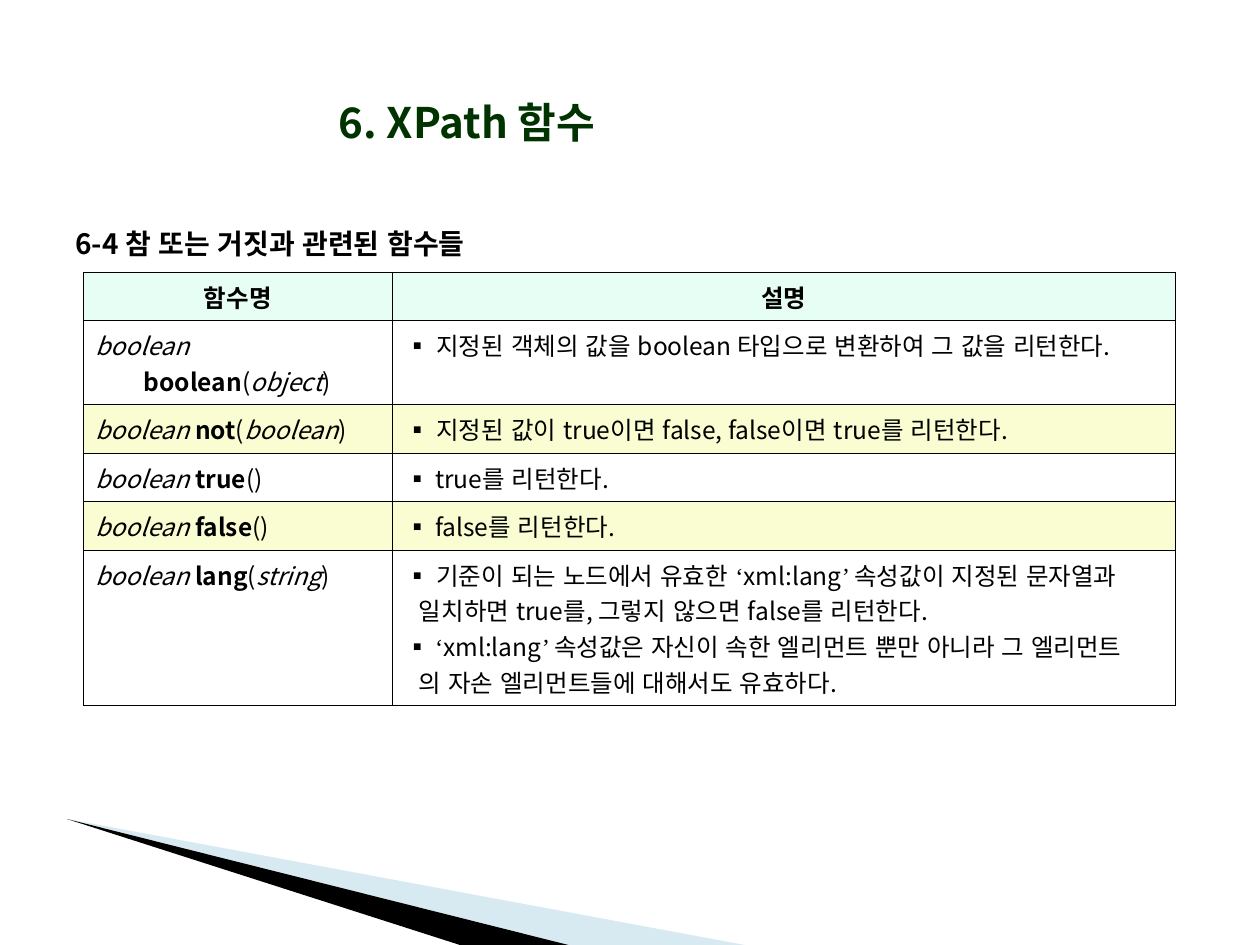
from lxml.etree import SubElement as Sub
from pptx import Presentation
from pptx.dml.color import RGBColor as Rgb
from pptx.enum.lang import MSO_LANGUAGE_ID as Lang
from pptx.enum.text import MSO_ANCHOR as Anchor, MSO_AUTO_SIZE as Auto, PP_ALIGN as Align
from pptx.oxml.ns import qn
from pptx.util import Inches, Pt

SANS, SERIF = "Noto Sans CJK KR", "Times New Roman"
UNIT = Inches(0.1)  # grid of 100 columns by 75 rows
HANG = 3.8          # hanging indent, in columns
LEAD = 1.1          # indent of a continued line, in columns
ROW, STEP = 3.85, 2.83  # height of a one-line row, and of each further line

HEADS = ["함수명", "설명"]
# Function name, its argument, rows of text, and the lines that describe it
# A line is (is it continued, text); quotes are set in the serif font
FUNCS = [
    ("boolean", "object", 2,
     [(False, "▪ 지정된 객체의 값을 boolean 타입으로 변환하여 그 값을 리턴한다.")]),
    ("not", "boolean", 1,
     [(False, "▪ 지정된 값이 true이면 false, false이면 true를 리턴한다.")]),
    ("true", "", 1, [(False, "▪ true를 리턴한다.")]),
    ("false", "", 1, [(False, "▪ false를 리턴한다.")]),
    ("lang", "string", 4,
     [(False, "▪ 기준이 되는 노드에서 유효한 |‘|xml:lang|’ |속성값이 지정된 문자열과"),
      (True, "일치하면 true를, 그렇지 않으면 false를 리턴한다."),
      (False, "▪ |‘|xml:lang|’ |속성값은 자신이 속한 엘리먼트 뿐만 아니라 그 엘리먼트"),
      (True, "의 자손 엘리먼트들에 대해서도 유효하다.")]),
]


def grid(*vals):
    return [round(v * UNIT) for v in vals]


def paint(fill, tone):
    fill.solid()
    fill.fore_color.rgb = Rgb.from_string(tone)


def add_run(par, text, size, tone="000000", bold=False, slant=False, face=SANS):
    run = par.add_run()
    run.text = text
    font = run.font
    font.size, font.bold, font.italic, font.name = Pt(size), bold, slant, face
    font.color.rgb = Rgb.from_string(tone)
    font.language_id = Lang.KOREAN
    font._element.set("kern", "0")
    Sub(font._element, qn("a:ea")).set("typeface", face)


def indent(par, left, first):
    props = par._p.get_or_add_pPr()
    for key, val in zip(("marL", "indent"), grid(left, first)):
        props.set(key, str(val))


def add_title(slide, box):
    title = slide.shapes.title
    title.left, title.top, title.width, title.height = grid(*box)
    frame = title.text_frame
    frame.auto_size, frame.vertical_anchor = Auto.NONE, Anchor.MIDDLE
    par = frame.paragraphs[0]
    par.alignment = Align.CENTER
    add_run(par, "6. XPath 함수", 24, "003300", bold=True)


def add_head(slide, box):
    frame = slide.shapes.add_textbox(*grid(*box)).text_frame
    frame.word_wrap = True
    par = frame.paragraphs[0]
    par.alignment = Align.JUSTIFY
    indent(par, HANG, -HANG)
    add_run(par, "6-4 참 또는 거짓과 관련된 함수들", 16, bold=True)


def edge(cell, tone="000000", width=0.45):
    props = cell._tc.get_or_add_tcPr()
    for at, side in enumerate(("lnL", "lnR", "lnT", "lnB")):
        line = Sub(props, qn(f"a:{side}"), w=str(Pt(width)))
        Sub(Sub(line, qn("a:solidFill")), qn("a:srgbClr")).set("val", tone)
        props.remove(line)
        props.insert(at, line)


def fill_name(cell, name, arg):
    par = cell.text_frame.paragraphs[0]
    indent(par, HANG, -HANG)
    add_run(par, "boolean ", 14, slant=True)
    add_run(par, name, 14, bold=True)
    if arg:
        add_run(par, "(", 14)
        add_run(par, arg, 14, slant=True)
        add_run(par, ")", 14)
    else:
        add_run(par, "()", 14)


def fill_note(cell, lines):
    frame = cell.text_frame
    for at, (cont, line) in enumerate(lines):
        par = frame.add_paragraph() if at else frame.paragraphs[0]
        indent(par, *((LEAD, 0) if cont else (HANG, -HANG)))
        for part in line.split("|"):
            quote = part.strip() in ("‘", "’")
            add_run(par, part, 14, face=SERIF if quote else SANS)


def add_funcs(slide, box):
    left, top, wide = box
    sizes = [ROW] + [ROW + STEP * (rows - 1) for _, _, rows, _ in FUNCS]
    count = len(sizes)
    area = grid(left, top, wide, sum(sizes))
    table = slide.shapes.add_table(count, 2, *area).table
    table.first_row = table.horz_banding = False
    first = 24.55
    for col, size in zip(table.columns, grid(first, wide - first)):
        col.width = size
    for line, size in zip(table.rows, grid(*sizes)):
        line.height = size

    # Header row
    for at, text in enumerate(HEADS):
        par = table.cell(0, at).text_frame.paragraphs[0]
        par.alignment = Align.CENTER
        indent(par, HANG, -HANG)
        add_run(par, text, 14, bold=True)

    # One row for each function
    for at, (name, arg, _, lines) in enumerate(FUNCS, 1):
        fill_name(table.cell(at, 0), name, arg)
        fill_note(table.cell(at, 1), lines)

    # Fills and borders
    for at in range(count):
        for col in range(2):
            cell = table.cell(at, col)
            cell.margin_left = cell.margin_right = UNIT
            cell.margin_top = cell.margin_bottom = UNIT // 2
            if at == 0:
                paint(cell.fill, "E6FEF4")
            elif at % 2 == 0:
                paint(cell.fill, "F9FDD1")
            else:
                cell.fill.background()
            edge(cell)


def add_wedge(slide, box, points, tone, alpha=None):
    left, top, wide, high = box
    spots = [grid(left + x * wide, top + y * high) for x, y in points]
    build = slide.shapes.build_freeform(*spots[0])
    build.add_line_segments(spots[1:], close=True)
    shape = build.convert_to_shape()
    shape.shadow.inherit = False
    shape.line.fill.background()
    paint(shape.fill, tone)
    if alpha:
        clr = shape._element.spPr.find(".//" + qn("a:srgbClr"))
        Sub(clr, qn("a:alpha")).set("val", str(alpha * 1000))


def add_swoosh(slide, box):
    add_wedge(slide, box, [(0, 0), (1, 1), (0.74, 1)], "9FCBDC", 40)
    add_wedge(slide, box, [(0, 0), (0.74, 1), (0.58, 1)], "000000")


def main():
    deck = Presentation()
    deck.slide_width, deck.slide_height = grid(100, 75)
    slide = deck.slides.add_slide(deck.slide_layouts[5])
    add_swoosh(slide, (5.3, 65, 53.8, 10))
    add_title(slide, (16.9, 3.4, 40.3, 12.5))
    add_head(slide, (5, 17.5, 90.7, 4.3))
    add_funcs(slide, (6.6, 21.6, 86.7))
    deck.save("out.pptx")


if __name__ == "__main__":
    main()
